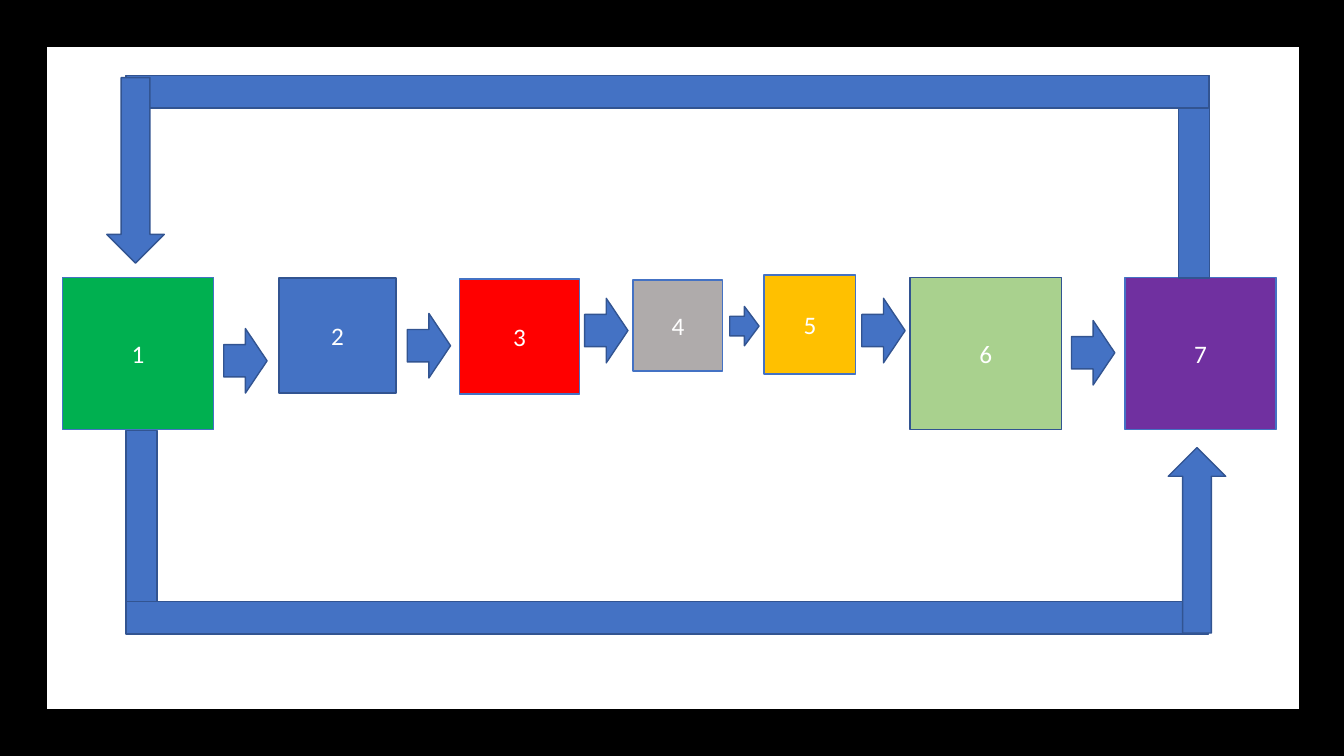
from pptx import Presentation
from pptx.dml.color import RGBColor
from pptx.enum.shapes import MSO_SHAPE as Shape
from pptx.enum.text import MSO_ANCHOR as Anchor, PP_ALIGN as Align
from pptx.util import Inches, Pt

COLUMNS, ROWS = 160, 90
CELL = Inches(1) // 12

THEME = {
    "font": "Calibri", "size": 18, "line": 1, "text": "FFFFFF",
    "blue": "4472C4", "navy": "325491", "black": "000000",
    "green": "00B050", "red": "FF0000", "gray": "AFABAB",
    "amber": "FFC000", "sage": "A9D18E", "purple": "7030A0",
}


def color(name):
    return RGBColor.from_string(THEME[name])


def add_block(kind, left, top, width, height, fill="blue", line="navy"):
    """Place a filled, outlined shape; lengths are grid cells."""
    box = page.shapes.add_shape(
        kind, *(round(length * CELL) for length in (left, top, width, height)))
    box.shadow.inherit = False
    box.fill.solid()
    box.fill.fore_color.rgb = color(fill)
    box.line.color.rgb = color(line)
    box.line.width = Pt(THEME["line"])
    return box


deck = Presentation()
deck.slide_width, deck.slide_height = COLUMNS * CELL, ROWS * CELL
page = deck.slides.add_slide(deck.slide_layouts[6])

# Black frame around the page
FRAME = 5.5
for left, top, width, height in [
    (0, 0, COLUMNS, FRAME),
    (0, ROWS - FRAME, COLUMNS, FRAME),
    (0, 0, FRAME, ROWS),
    (COLUMNS - FRAME + 0.2, 0, FRAME - 0.2, ROWS),
]:
    add_block(Shape.RECTANGLE, left, top, width, height, "black", "black")

# Numbered stages: left, top, width, height, fill, line
stages = [
    (7.44, 33, 18, 18.12, "green", "blue"),
    (33.24, 33.12, 13.92, 13.68, "blue", "navy"),
    (54.72, 33.24, 14.28, 13.68, "red", "blue"),
    (75.36, 33.36, 10.68, 10.8, "gray", "blue"),
    (90.96, 32.76, 10.92, 11.76, "amber", "blue"),
    (108.36, 33, 18, 18.12, "sage", "navy"),
    (133.92, 33, 18, 18.12, "purple", "blue"),
]
for number, stage in enumerate(stages, start=1):
    frame = add_block(Shape.RECTANGLE, *stage).text_frame
    frame.text = str(number)
    frame.vertical_anchor = Anchor.MIDDLE
    para = frame.paragraphs[0]
    para.alignment = Align.CENTER
    font = para.runs[0].font
    font.name, font.size = THEME["font"], Pt(THEME["size"])
    font.color.rgb = color("text")

# Arrows from each stage to the next
LARGE, SMALL = (5.16, 7.68), (3.48, 4.68)
for left, top, size in [
    (26.64, 39.12, LARGE), (48.48, 37.32, LARGE), (69.6, 35.52, LARGE),
    (86.88, 36.48, SMALL), (102.6, 35.52, LARGE), (127.56, 38.16, LARGE),
]:
    add_block(Shape.RIGHT_ARROW, left, top, *size)

# Loops between the first and last stage: post, beam, then arrow
BEAM_LEFT = 15
for post_left, post_top, beam_top, arrow_left, arrow_top, turn in [
    (140.28, 9, 9, 12.72, 9.24, 0),
    (BEAM_LEFT, 51.24, 71.64, 139.08, 53.28, 180),
]:
    add_block(Shape.RECTANGLE, post_left, post_top, 3.72, 24.12)
    add_block(Shape.RECTANGLE, BEAM_LEFT, beam_top, 128.88, 3.84)
    arrow = add_block(Shape.DOWN_ARROW, arrow_left, arrow_top, 6.84, 22.08)
    arrow.rotation = turn

deck.save("out.pptx")
